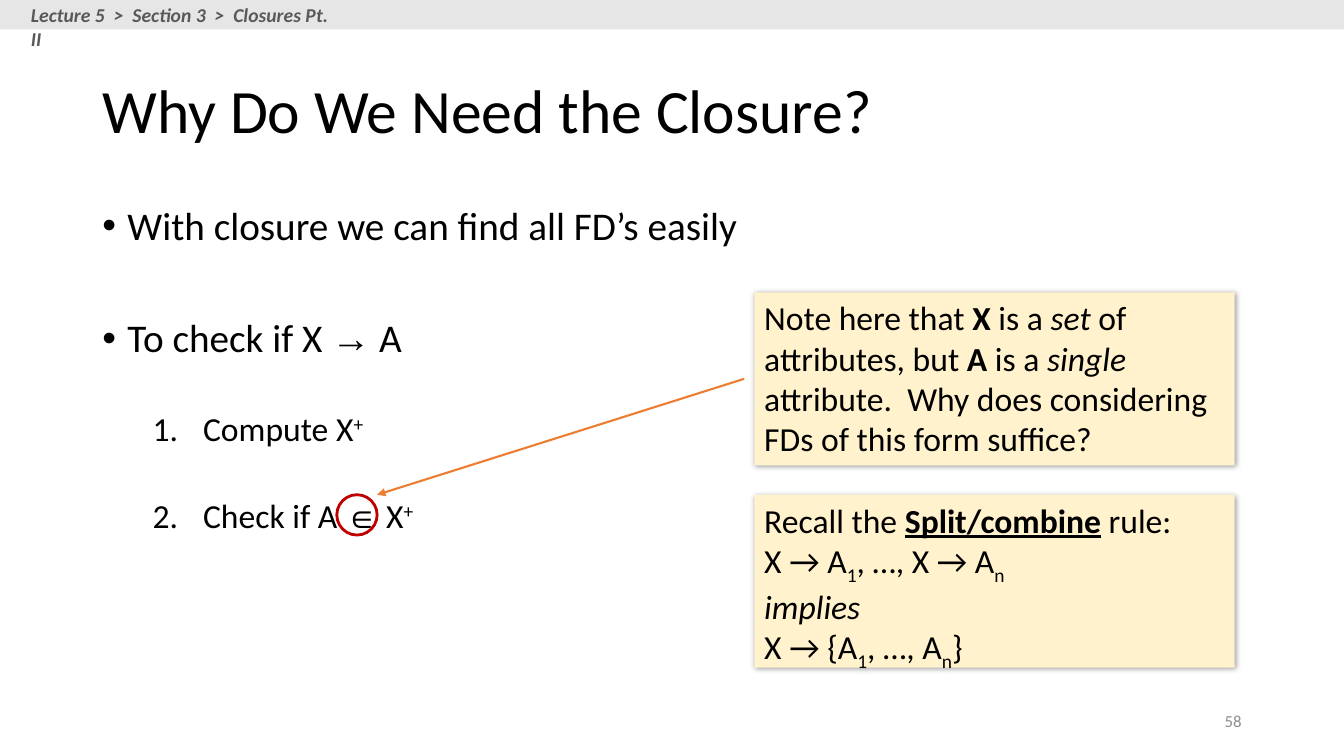
from dataclasses import dataclass
from lxml import etree
from pptx import Presentation
from pptx.dml.color import RGBColor
from pptx.enum.shapes import MSO_CONNECTOR as Connector, MSO_SHAPE as Shape
from pptx.enum.text import MSO_ANCHOR as Anchor, PP_ALIGN as Align
from pptx.oxml.ns import qn
from pptx.util import Inches, Pt

CELL = Inches(1 / 12)  # the slide is a grid of 160 columns by 90 rows
COLUMNS, ROWS = 160, 90


@dataclass(frozen=True)
class Theme:
    font: str = "Calibri"
    symbol_font: str = "Arial"
    ink: str = "000000"
    muted: str = "8C8C8C"
    header_ink: str = "595959"
    header_fill: str = "E7E6E6"
    note_fill: str = "FFF2CC"
    ring: str = "C00000"
    arrow: str = "ED7D31"
    title_size: int = 44
    body_size: int = 28
    detail_size: int = 24
    header_size: int = 14
    number_size: int = 12


@dataclass(frozen=True)
class Box:
    left: float
    top: float
    width: float
    height: float

    def emu(self):
        return [round(value * CELL) for value in (self.left, self.top, self.width, self.height)]


THEME = Theme()
BASELINES = {"^": "30000", "_": "-25000"}


def color(name):
    return RGBColor.from_string(name)


def child(parent, tag, **attributes):
    return etree.SubElement(parent, qn(tag), {key: str(value) for key, value in attributes.items()})


def write(paragraph, runs, size, ink=THEME.ink):
    """Add (text, style) runs; style letters: b, i, u, s symbol font, ^ super, _ sub."""
    for text, style in runs:
        run = paragraph.add_run()
        run.text = text
        font = run.font
        font.name = THEME.symbol_font if "s" in style else THEME.font
        font.size, font.color.rgb = Pt(size), color(ink)
        font.bold, font.italic, font.underline = "b" in style, "i" in style, "u" in style
        for mark in style:
            if mark in BASELINES:
                run._r.get_or_add_rPr().set("baseline", BASELINES[mark])


def add_text(slide, box, anchor=Anchor.TOP):
    text_frame = slide.shapes.add_textbox(*box.emu()).text_frame
    text_frame.word_wrap, text_frame.vertical_anchor = True, anchor
    return text_frame


def add_filled(slide, box, fill):
    shape = slide.shapes.add_shape(Shape.RECTANGLE, *box.emu())
    shape.shadow.inherit = False
    shape.fill.solid()
    shape.fill.fore_color.rgb = color(fill)
    shape.line.fill.background()
    return shape


def add_header(slide, box, trail):
    add_filled(slide, box, THEME.header_fill)
    label = add_text(slide, Box(box.left + 2.5, box.top - 0.2, 38.9, 4.1))
    write(label.paragraphs[0], [(trail, "bi")], THEME.header_size, THEME.header_ink)


def add_title(slide, box, title):
    paragraph = add_text(slide, box, Anchor.MIDDLE).paragraphs[0]
    paragraph.line_spacing = 0.9
    write(paragraph, [(title, "")], THEME.title_size)


def add_slide_number(slide, box, number):
    paragraph = add_text(slide, box, Anchor.MIDDLE).paragraphs[0]
    paragraph.alignment = Align.RIGHT
    write(paragraph, [(number, "")], THEME.number_size, THEME.muted)


def add_list(slide, box, items):
    """Place (level, runs) items: bullets at level 0, numbered steps at level 1."""
    text_frame = add_text(slide, box)
    for index, (level, runs) in enumerate(items):
        paragraph = text_frame.add_paragraph() if index else text_frame.paragraphs[0]
        paragraph.level = level
        properties = paragraph._p.get_or_add_pPr()
        properties.set("marL", str(Inches(1 if level else 0.25)))
        properties.set("indent", str(-Inches(0.5 if level else 0.25)))
        if level:
            child(properties, "a:buFont", typeface=THEME.font)
            child(properties, "a:buAutoNum", type="arabicPeriod")
        else:
            child(properties, "a:buFont", typeface=THEME.symbol_font)
            child(properties, "a:buChar", char="•")
        paragraph.line_spacing = 0.9
        if index:
            paragraph.space_before = Pt(36.4 if level else 50)
        write(paragraph, runs, THEME.detail_size if level else THEME.body_size)


def add_note(slide, box, lines):
    shape = add_filled(slide, box, THEME.note_fill)
    effects = shape._element.spPr.find(qn("a:effectLst"))
    shadow = child(effects, "a:outerShdw", blurRad=Pt(4), dist=Pt(1), dir=45 * 60000,
                   algn="tl", rotWithShape=0)
    child(child(shadow, "a:srgbClr", val=THEME.ink), "a:alpha", val=40000)
    text_frame = shape.text_frame
    text_frame.word_wrap, text_frame.vertical_anchor = True, Anchor.TOP
    for index, runs in enumerate(lines):
        paragraph = text_frame.add_paragraph() if index else text_frame.paragraphs[0]
        paragraph.alignment = Align.LEFT
        write(paragraph, runs, THEME.detail_size)


def add_callout(slide, ring, note):
    """Ring a symbol and point to it from just left of the note."""
    circle = slide.shapes.add_shape(Shape.OVAL, *ring.emu())
    circle.shadow.inherit = False
    circle.fill.background()
    circle.line.color.rgb, circle.line.width = color(THEME.ring), Pt(2)
    ends = (note.left - 1.2, note.top + note.height / 2, ring.left + ring.width, ring.top)
    arrow = slide.shapes.add_connector(Connector.STRAIGHT, *[round(end * CELL) for end in ends])
    arrow.line.color.rgb, arrow.line.width = color(THEME.arrow), Pt(1.5)
    child(arrow.line._get_or_add_ln(), "a:tailEnd", type="triangle")
    child(arrow._element.spPr, "a:effectLst")


BODY = [
    (0, [("With closure we can find all FD’s easily", "")]),
    (0, [("To check if X ", ""), ("→", "s"), (" A", "")]),
    (1, [("Compute X", ""), ("+", "^")]),
    (1, [("Check if A ", ""), ("∈", "s"), (" X", ""), ("+", "^")]),
]
SET_NOTE = [[
    ("Note here that ", ""), ("X", "b"), (" is a ", ""), ("set", "i"), (" of attributes, but ", ""),
    ("A", "b"), (" is a ", ""), ("single", "i"),
    (" attribute.  Why does considering FDs of this form suffice?", ""),
]]
RULE_NOTE = [
    [("Recall the ", ""), ("Split/combine", "bu"), (" rule:", "")],
    [("X → A", ""), ("1", "_"), (", …, X → A", ""), ("n", "_")],
    [("implies", "i")],
    [("X → {A", ""), ("1", "_"), (", …, A", ""), ("n", "_"), ("}", "")],
]


def main():
    presentation = Presentation()
    presentation.slide_width, presentation.slide_height = COLUMNS * CELL, ROWS * CELL
    slide = presentation.slides.add_slide(presentation.slide_layouts[6])
    set_box, rule_box = [Box(89.8, 34.8 + row * 24.1, 57.2, 20.6) for row in range(2)]
    add_slide_number(slide, Box(113, 83.4, 36, 4.8), "58")
    add_title(slide, Box(11, 4.8, 138, 17.4), "Why Do We Need the Closure?")
    add_list(slide, Box(11, 24, 138, 57.1), BODY)
    add_note(slide, set_box, SET_NOTE)
    add_callout(slide, Box(40.1, 58.9, 4.8, 4.8), set_box)
    add_note(slide, rule_box, RULE_NOTE)
    add_header(slide, Box(0, 0, COLUMNS, 3.5), "Lecture 5  >  Section 3  >  Closures Pt. II")
    presentation.save("out.pptx")


if __name__ == "__main__":
    main()
